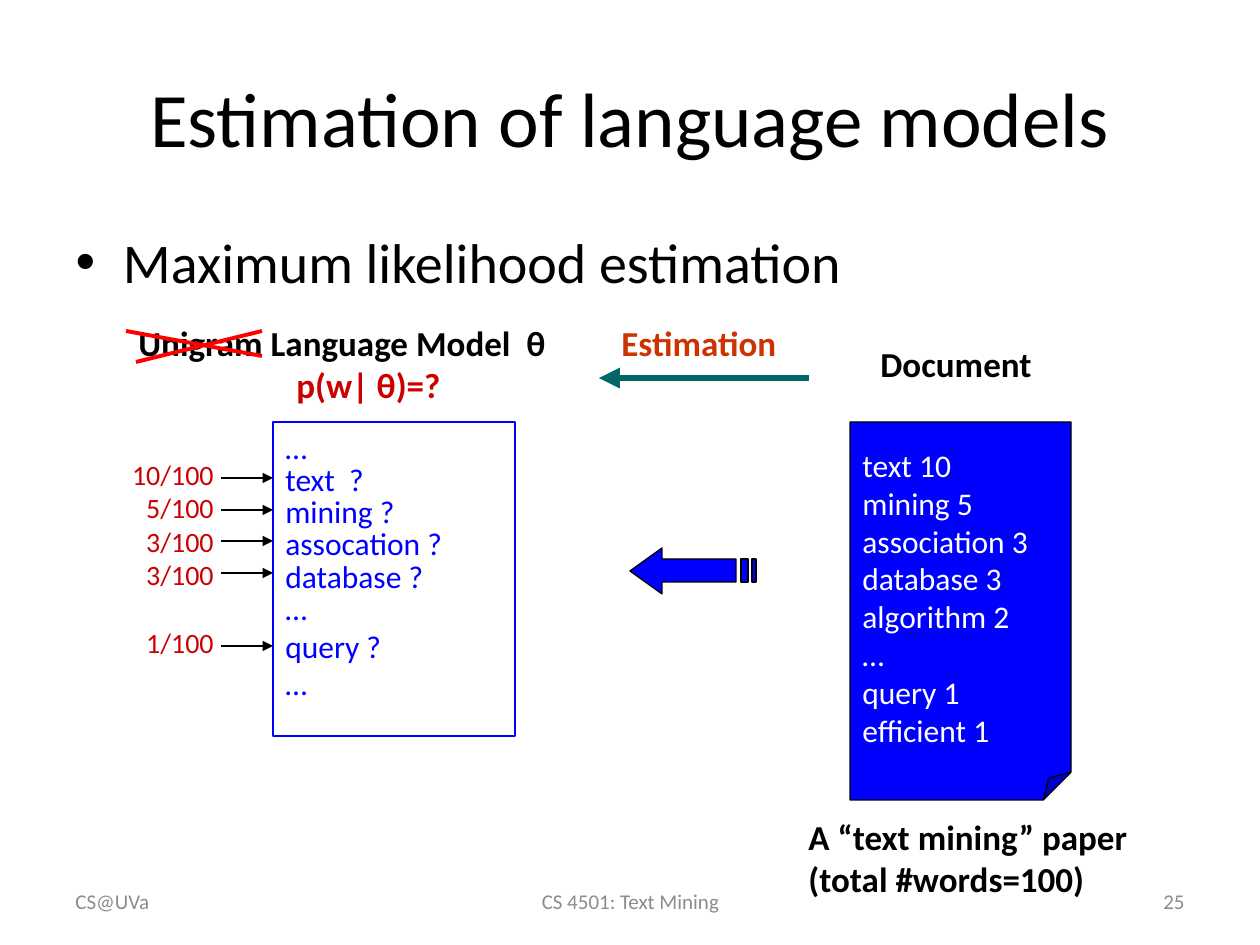
import dataclasses
import typing

import lxml.etree
import pptx
import pptx.dml.color
import pptx.enum.shapes
import pptx.enum.text
import pptx.oxml.ns
import pptx.util

EMU_PER_PX = 914400 / 126
ALIGN = pptx.enum.text.PP_ALIGN
ANCHOR = pptx.enum.text.MSO_ANCHOR
SHAPE = pptx.enum.shapes.MSO_SHAPE


@dataclasses.dataclass(frozen=True)
class Theme:
    font: str = "Calibri"
    black: str = "000000"
    white: str = "FFFFFF"
    blue: str = "0000FF"
    dark_red: str = "CC0000"
    bright_red: str = "FF0000"
    orange: str = "CC3300"
    teal: str = "006666"
    gray: str = "8C8C8C"
    title: int = 44
    body: int = 32
    heading: int = 20
    words: int = 18
    estimates: int = 16
    footer: int = 12
    thin: float = 0.75


THEME = Theme()


class Line(typing.NamedTuple):
    text: str
    color: str = ""
    indent: int = 0
    before: float = 0
    spacing: float = 0


class Label(typing.NamedTuple):
    area: tuple[int, int, int, int]
    lines: tuple[Line, ...]
    size: int = THEME.heading
    color: str = THEME.black
    bold: bool = True
    align: ALIGN = ALIGN.LEFT
    anchor: ANCHOR = ANCHOR.TOP


class Stroke(typing.NamedTuple):
    start: tuple[int, int]
    end: tuple[int, int]
    color: str = THEME.black
    width: float = THEME.thin
    arrow: bool = False


def px(length: float) -> pptx.util.Emu:
    return pptx.util.Emu(round(length * EMU_PER_PX))


def rgb(color: str) -> pptx.dml.color.RGBColor:
    return pptx.dml.color.RGBColor.from_string(color)


def add_element(parent, tag: str, **attributes: str) -> None:
    lxml.etree.SubElement(parent, pptx.oxml.ns.qn(tag), attributes)


def write_text(frame, lines, *, size: int, color: str, bold: bool = False,
               align: ALIGN = ALIGN.LEFT, anchor: ANCHOR = ANCHOR.TOP) -> None:
    frame.word_wrap = True
    frame.vertical_anchor = anchor
    for index, line in enumerate(lines):
        para = frame.paragraphs[0] if index == 0 else frame.add_paragraph()
        para.alignment = align
        if line.indent:
            para._p.get_or_add_pPr().set("marL", str(px(line.indent)))
        if line.before:
            para.space_before = pptx.util.Pt(line.before)
        if line.spacing:
            para.line_spacing = line.spacing
        span = para.add_run()
        span.text = line.text
        span.font.name = THEME.font
        span.font.size = pptx.util.Pt(size)
        span.font.bold = bold
        span.font.color.rgb = rgb(line.color or color)


def add_label(page, label: Label) -> None:
    box = page.shapes.add_textbox(*map(px, label.area))
    write_text(box.text_frame, label.lines, size=label.size, color=label.color,
               bold=label.bold, align=label.align, anchor=label.anchor)


def paint(box, line: str, fill: str = "") -> None:
    box.shadow.inherit = False
    if fill:
        box.fill.solid()
        box.fill.fore_color.rgb = rgb(fill)
    else:
        box.fill.background()
    box.line.color.rgb = rgb(line)
    box.line.width = pptx.util.Pt(THEME.thin)


def add_stroke(page, stroke: Stroke) -> None:
    connector = page.shapes.add_connector(pptx.enum.shapes.MSO_CONNECTOR.STRAIGHT,
                                          *map(px, stroke.start + stroke.end))
    connector.line.color.rgb = rgb(stroke.color)
    connector.line.width = pptx.util.Pt(stroke.width)
    if stroke.arrow:
        add_element(connector.line._get_or_add_ln(), "a:tailEnd", type="triangle")
    add_element(connector._element.spPr, "a:effectLst")


def add_striped_arrow(page) -> None:
    top, bottom = 559, 582
    head = [(630, 571), (662, 548), (662, top), (736, top),
            (736, bottom), (662, bottom), (662, 594)]
    builder = page.shapes.build_freeform(*head[0], scale=EMU_PER_PX)
    builder.add_line_segments(head[1:], close=True)
    for left, right in ((741, 748), (752, 756)):
        builder.move_to(left, top)
        builder.add_line_segments([(right, top), (right, bottom), (left, bottom)])
    paint(builder.convert_to_shape(), THEME.black, THEME.blue)


def plain(*texts: str) -> tuple[Line, ...]:
    return tuple(map(Line, texts))


def footer(left: int, width: int, text: str, align: ALIGN) -> Label:
    return Label((left, 876, width, 50), plain(text), THEME.footer,
                 THEME.gray, False, align, ANCHOR.MIDDLE)


TIGHT_WORDS = ("text  ?", "mining ?", "assocation ?", "database ?", "…")
MODEL_WORDS = (Line("…"), *(Line(word, spacing=0.85) for word in TIGHT_WORDS),
               *plain("query ?", "…"))
DOCUMENT_WORDS = plain("text 10", "mining 5", "association 3", "database 3",
                       "algorithm 2", "…", "query 1", "efficient 1")
LABELS = (
    Label((126, 315, 446, 97), (Line("Unigram Language Model  θ"),
                                Line("p(w| θ)=?", THEME.dark_red, indent=158))),
    Label((868, 336, 188, 54), plain("Document")),
    Label((609, 315, 188, 54), plain("Estimation"), color=THEME.orange),
    Label((796, 809, 360, 97), plain("A “text mining” paper", "(total #words=100)")),
    Label((105, 451, 121, 214),
          (*plain("10/100", "5/100", "3/100", "3/100"), Line("1/100", before=19.5)),
          THEME.estimates, THEME.dark_red, False, ALIGN.RIGHT),
    footer(63, 294, "CS@UVa", ALIGN.LEFT),
    footer(431, 399, "CS 4501: Text Mining", ALIGN.CENTER),
    footer(903, 294, "25", ALIGN.RIGHT),
)
STROKES = (
    Stroke((809, 378), (599, 378), THEME.teal, 4, True),
    *(Stroke((221, y), (273, y), arrow=True) for y in (478, 510, 541, 573, 646)),
    Stroke((126, 331), (262, 356), THEME.bright_red, 2.25),
    Stroke((136, 362), (262, 331), THEME.bright_red, 2.25),
)


def main() -> None:
    deck = pptx.Presentation()
    deck.slide_width, deck.slide_height = px(1260), px(945)
    page = deck.slides.add_slide(deck.slide_layouts[1])
    title, body = page.shapes.title, page.placeholders[1]
    title.left, title.top, title.width, title.height = map(px, (63, 38, 1134, 157))
    write_text(title.text_frame, plain("Estimation of language models"), size=THEME.title,
               color=THEME.black, align=ALIGN.CENTER, anchor=ANCHOR.MIDDLE)
    body.left, body.top, body.width, body.height = map(px, (63, 221, 1134, 624))
    write_text(body.text_frame, plain("Maximum likelihood estimation"),
               size=THEME.body, color=THEME.black)

    document = page.shapes.add_shape(SHAPE.FOLDED_CORNER, *map(px, (850, 422, 221, 378)))
    guides = document._element.spPr.find(".//" + pptx.oxml.ns.qn("a:avLst"))
    add_element(guides, "a:gd", name="adj", fmla="val 12500")
    paint(document, THEME.black, THEME.blue)
    write_text(document.text_frame, DOCUMENT_WORDS, size=THEME.words,
               color=THEME.white, anchor=ANCHOR.MIDDLE)
    model = page.shapes.add_shape(SHAPE.RECTANGLE, *map(px, (273, 422, 242, 314)))
    paint(model, THEME.blue)
    write_text(model.text_frame, MODEL_WORDS, size=THEME.words, color=THEME.blue)

    add_striped_arrow(page)
    for label in LABELS:
        add_label(page, label)
    for stroke in STROKES:
        add_stroke(page, stroke)
    deck.save("out.pptx")


if __name__ == "__main__":
    main()
